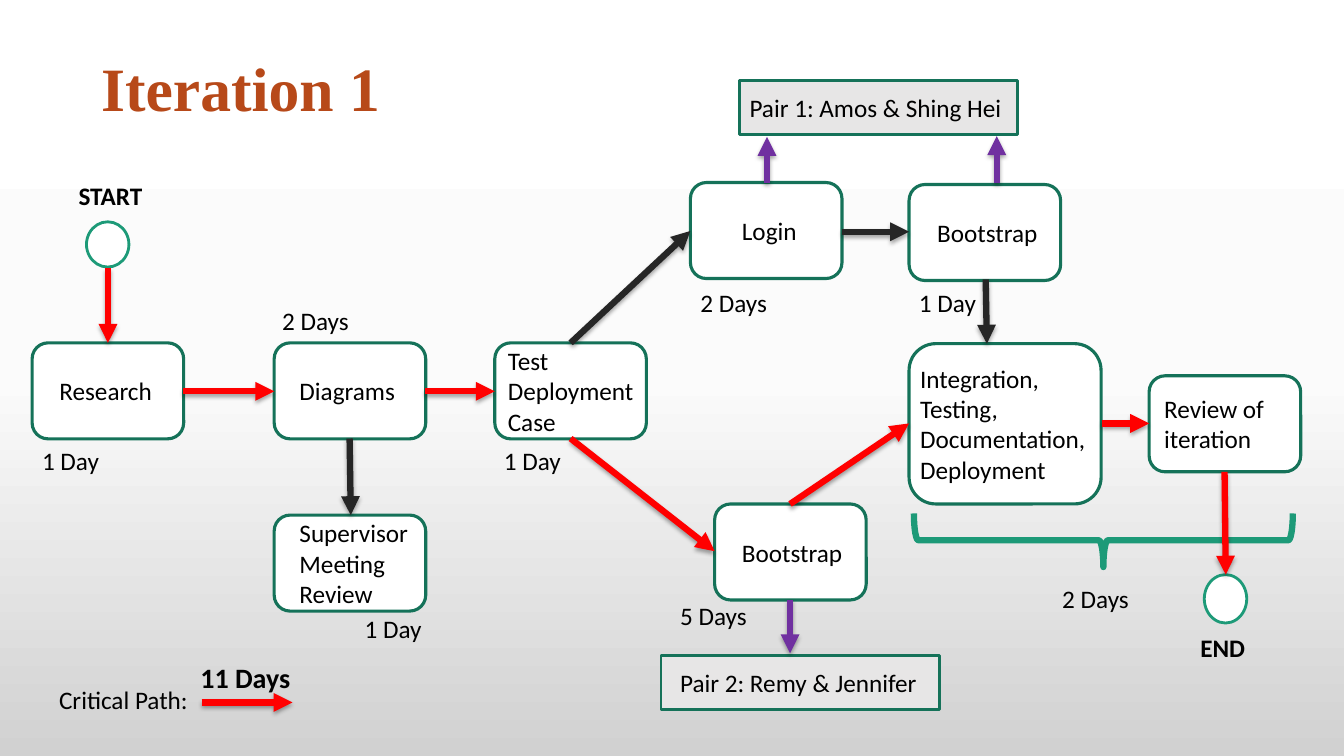
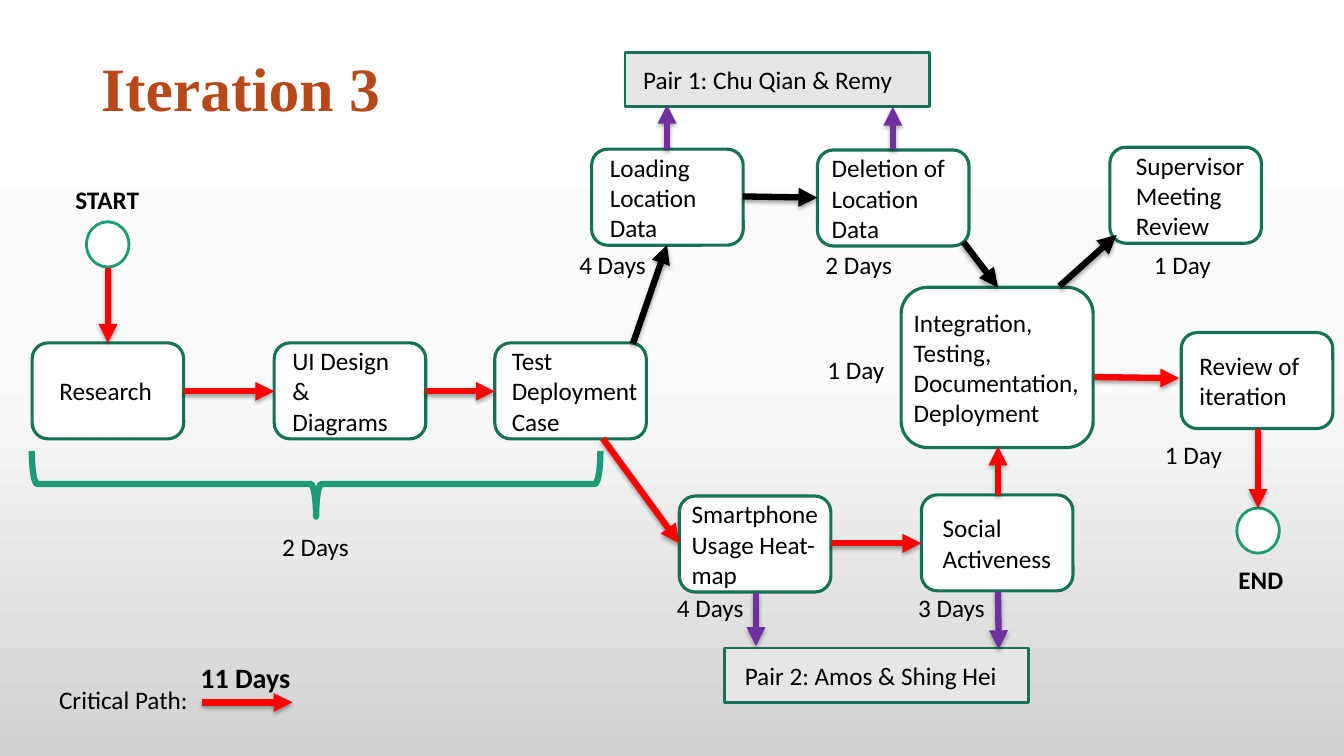
"""Build two iteration plans as flow diagrams with durations and a critical path."""
import dataclasses

import lxml.etree
import pptx
import pptx.dml.color
import pptx.enum.shapes
import pptx.enum.text
import pptx.oxml
import pptx.oxml.ns
import pptx.presentation
import pptx.shapes.autoshape
import pptx.slide
import pptx.text.text
import pptx.util

Cm = pptx.util.Cm
Pt = pptx.util.Pt
qn = pptx.oxml.ns.qn
Shapes = pptx.enum.shapes.MSO_SHAPE
Point = tuple[float, float]
Size = tuple[float, float]

COLOURS = {
    "title": "B74919", "text": "000000", "white": "FFFFFF", "middle": "FBFBFB", "bottom": "D1D1D1",
    "border": "157259", "accent": "1D9A78", "pair": "E7E6E6",
    "critical": "FF0000", "dark": "262626", "black": "000000", "purple": "7030A0",
}
TASK_SIZE = (3.82, 2.42)
INTEGRATION_SIZE = (4.84, 4.04)
DRAWING_NAMESPACE = pptx.oxml.ns.nsdecls("a")
INTEGRATION_TEXT = "Integration, Testing, Documentation, Deployment"


@dataclasses.dataclass(frozen=True)
class Task:
    text: str
    left: float
    top: float
    indent: float
    size: Size = TASK_SIZE
    right_indent: float = 0


@dataclasses.dataclass(frozen=True)
class Pair:
    text: str
    left: float
    top: float
    width: float
    indent: float


@dataclasses.dataclass(frozen=True)
class Label:
    text: str
    left: float
    top: float
    bold: bool = False
    size: int = 18
    width: float = 2.74


@dataclasses.dataclass(frozen=True)
class Arrow:
    start: Point
    end: Point
    colour: str = "critical"


@dataclasses.dataclass(frozen=True)
class Circle:
    left: float
    top: float
    height: float = 1.14


@dataclasses.dataclass(frozen=True)
class Brace:
    left: float
    top: float
    width: float
    height: float


@dataclasses.dataclass(frozen=True)
class Iteration:
    title: str
    tasks: list[Task]
    pairs: list[Pair]
    labels: list[Label]
    arrows: list[Arrow]
    end: Circle
    brace: Brace


SHARED_TASKS = [Task("Research", 0.81, 8.64, 0.57)]
SHARED_LABELS = [
    Label("Critical Path:", 1.24, 17.12, width=7.54),
    Label("11 Days", 4.8, 16.51, bold=True, size=20, width=2.92),
]
SHARED_ARROWS = [
    Arrow((2.72, 6.76), (2.72, 8.64)),
    Arrow((4.62, 9.86), (6.91, 9.86)),
    Arrow((10.72, 9.86), (12.47, 9.86)),
    Arrow((5.08, 17.7), (7.37, 17.7)),
]
START = Circle(2.18, 5.59)

ITERATIONS = [
    Iteration(
        title="Iteration 1",
        tasks=[
            Task("Diagrams", 6.91, 8.64, 0.52),
            Task("Supervisor Meeting Review", 6.91, 12.98, 0.52),
            Task("Test Deployment Case", 12.47, 8.64, 0.21),
            Task("Login", 17.4, 4.6, 1.18),
            Task("Bootstrap", 22.91, 4.65, 0.59),
            Task("Bootstrap", 18.01, 12.7, 0.57),
            Task(INTEGRATION_TEXT, 22.91, 8.66, 0.08, INTEGRATION_SIZE),
            Task("Review of iteration", 28.96, 9.47, 0.26),
        ],
        pairs=[
            Pair("Pair 1: Amos & Shing Hei", 18.64, 2.03, 7.01, 0.25),
            Pair("Pair 2: Remy & Jennifer", 16.66, 16.51, 7.01, 0.48),
        ],
        labels=[
            Label("START", 1.73, 4.42, bold=True),
            Label("1 Day", 0.81, 11.1),
            Label("2 Days", 6.86, 7.57),
            Label("1 Day", 12.45, 11.1),
            Label("1 Day", 8.94, 15.32),
            Label("2 Days", 17.4, 7.11),
            Label("1 Day", 22.91, 7.11),
            Label("5 Days", 16.89, 15.01),
            Label("2 Days", 26.52, 14.58),
            Label("END", 30, 15.82, bold=True),
        ],
        arrows=[
            Arrow((14.38, 11.05), (18.01, 13.89)),
            Arrow((19.91, 12.7), (22.91, 10.67)),
            Arrow((27.76, 10.67), (28.96, 10.67)),
            Arrow((30.86, 11.89), (30.89, 14.48)),
            Arrow((8.81, 11.05), (8.84, 12.98), "dark"),
            Arrow((14.38, 8.64), (17.4, 5.82), "dark"),
            Arrow((21.23, 5.84), (22.91, 5.84), "dark"),
            Arrow((24.84, 7.04), (24.87, 8.66), "dark"),
            Arrow((19.33, 4.6), (19.33, 3.45), "purple"),
            Arrow((25.12, 4.6), (25.12, 3.43), "purple"),
            Arrow((19.91, 15.11), (19.91, 16.46), "purple"),
        ],
        end=Circle(30.35, 14.48, 1.22),
        brace=Brace(27.13, 8.84, 1.35, 9.55),
    ),
    Iteration(
        title="Iteration 3",
        tasks=[
            Task("UI Design & Diagrams", 6.91, 8.64, 0.34, right_indent=0.4),
            Task("Test Deployment Case", 12.47, 8.64, 0.31),
            Task("Loading Location Data", 14.91, 3.76, 0.34),
            Task("Deletion of Location Data", 20.6, 3.78, 0.24),
            Task("Smartphone Usage Heat-map", 17.12, 12.5, 0.19),
            Task("Social Activeness", 23.22, 12.47, 0.42),
            Task(INTEGRATION_TEXT, 22.71, 7.24, 0.12, INTEGRATION_SIZE),
            Task("Supervisor Meeting Review", 27.97, 3.71, 0.54),
            Task("Review of iteration", 29.77, 8.38, 0.34),
        ],
        pairs=[
            Pair("Pair 1: Chu Qian & Remy", 15.75, 1.32, 7.67, 0.46),
            Pair("Pair 2: Amos & Shing Hei", 18.26, 16.33, 7.67, 0.51),
        ],
        labels=[
            Label("START", 1.65, 4.52, bold=True),
            Label("2 Days", 6.86, 13.26),
            Label("4 Days", 14.35, 6.17),
            Label("2 Days", 20.55, 6.17),
            Label("1 Day", 28.83, 6.17),
            Label("4 Days", 16.81, 14.81),
            Label("3 Days", 22.89, 14.81),
            Label("1 Day", 20.6, 8.81),
            Label("1 Day", 29.11, 10.95),
            Label("END", 30.96, 14.1, bold=True),
        ],
        arrows=[
            Arrow((15.19, 11.05), (17.12, 13.69)),
            Arrow((20.93, 13.69), (23.22, 13.69)),
            Arrow((25.15, 12.47), (25.15, 11.25)),
            Arrow((27.58, 9.5), (29.72, 9.53)),
            Arrow((31.7, 10.8), (31.7, 12.8)),
            Arrow((15.95, 8.66), (16.81, 6.17), "black"),
            Arrow((18.72, 4.95), (20.6, 4.98), "black"),
            Arrow((24.28, 6.1), (25.15, 7.24), "black"),
            Arrow((26.7, 7.21), (28.14, 5.92), "black"),
            Arrow((16.81, 3.76), (16.81, 2.64), "purple"),
            Arrow((22.5, 3.76), (22.5, 2.69), "purple"),
            Arrow((19.05, 14.94), (19.05, 16.28), "purple"),
            Arrow((25.15, 14.91), (25.17, 16.36), "purple"),
        ],
        end=Circle(31.17, 12.8),
        brace=Brace(7.14, 5.03, 1.65, 14.33),
    ),
]


def colour(name: str) -> pptx.dml.color.RGBColor:
    return pptx.dml.color.RGBColor.from_string(COLOURS[name])


def set_background(presentation: pptx.presentation.Presentation) -> None:
    master = presentation.slide_master
    fill = master.background.fill
    fill.gradient()
    fill.gradient_angle = 270
    stops = master.element.find(".//" + qn("a:gsLst"))
    for stop in list(stops):
        stops.remove(stop)
    for position, name in ((0, "white"), (50, "middle"), (100, "bottom")):
        stop = lxml.etree.SubElement(stops, qn("a:gs"), pos=str(position * 1000))
        lxml.etree.SubElement(stop, qn("a:srgbClr"), val=COLOURS[name])


def add_run(frame: pptx.text.text.TextFrame, text: str, size: int = 18, bold: bool = False,
            font: str = "Calibri", ink: str = "text") -> pptx.text.text._Run:
    frame.word_wrap = True
    paragraph = frame.paragraphs[0]
    paragraph.alignment = pptx.enum.text.PP_ALIGN.LEFT
    run = paragraph.add_run()
    run.text = text
    run.font.name = font
    run.font.size = Pt(size)
    run.font.bold = bold
    run.font.color.rgb = colour(ink)
    return run


def add_title(slide: pptx.slide.Slide, text: str) -> None:
    frame = slide.shapes.add_textbox(Cm(2.3), Cm(0.47), Cm(29.21), Cm(3.68)).text_frame
    frame.vertical_anchor = pptx.enum.text.MSO_ANCHOR.MIDDLE
    run = add_run(frame, text, 44, True, "Times New Roman", "title")
    frame.paragraphs[0].line_spacing = 0.9
    outline = pptx.oxml.parse_xml(
        f'<a:ln {DRAWING_NAMESPACE} w="9525"><a:solidFill><a:srgbClr val="{COLOURS["white"]}"/>'
        "</a:solidFill></a:ln>")
    run.font._element.insert(0, outline)


def add_outline(slide: pptx.slide.Slide, kind: Shapes, left: float, top: float, size: Size,
                line: str, line_width: float, fill: str | None) -> pptx.shapes.autoshape.Shape:
    shape = slide.shapes.add_shape(kind, Cm(left), Cm(top), Cm(size[0]), Cm(size[1]))
    shape.shadow.inherit = False
    shape.line.color.rgb = colour(line)
    shape.line.width = Pt(line_width)
    if fill is None:
        shape.fill.background()
    else:
        shape.fill.solid()
        shape.fill.fore_color.rgb = colour(fill)
    return shape


def fill_text(shape: pptx.shapes.autoshape.Shape, text: str, indent: float, right_indent: float = 0) -> None:
    frame = shape.text_frame
    frame.margin_left, frame.margin_right = Cm(indent), Cm(right_indent)
    frame.margin_top = frame.margin_bottom = Cm(0)
    frame.vertical_anchor = pptx.enum.text.MSO_ANCHOR.MIDDLE
    add_run(frame, text)


def add_label(slide: pptx.slide.Slide, label: Label) -> None:
    box = slide.shapes.add_textbox(Cm(label.left), Cm(label.top), Cm(label.width), Cm(1.02))
    add_run(box.text_frame, label.text, label.size, label.bold)


def add_arrow(slide: pptx.slide.Slide, arrow: Arrow) -> None:
    ends = [Cm(value) for value in arrow.start + arrow.end]
    connector = slide.shapes.add_connector(pptx.enum.shapes.MSO_CONNECTOR.STRAIGHT, *ends)
    connector.line.color.rgb = colour(arrow.colour)
    connector.line.width = Pt(4.5)
    properties = connector.element.spPr
    lxml.etree.SubElement(properties.find(qn("a:ln")), qn("a:tailEnd"), type="triangle")
    properties.append(pptx.oxml.parse_xml(
        f'<a:effectLst {DRAWING_NAMESPACE}><a:outerShdw blurRad="{Pt(3.1)}" dist="{Pt(1.8)}" dir="5400000" '
        'rotWithShape="0"><a:srgbClr val="000000"><a:alpha val="35000"/></a:srgbClr></a:outerShdw></a:effectLst>'))


def draw_iteration(slide: pptx.slide.Slide, iteration: Iteration) -> None:
    add_title(slide, iteration.title)
    for pair in iteration.pairs:
        shape = add_outline(slide, Shapes.RECTANGLE, pair.left, pair.top, (pair.width, 1.37), "border", 2, "pair")
        fill_text(shape, pair.text, pair.indent)
    for task in SHARED_TASKS + iteration.tasks:
        shape = add_outline(slide, Shapes.ROUNDED_RECTANGLE, task.left, task.top, task.size, "border", 2.25, "white")
        fill_text(shape, task.text, task.indent, task.right_indent)
    for circle in (START, iteration.end):
        add_outline(slide, Shapes.OVAL, circle.left, circle.top, (1.07, circle.height), "accent", 2, "white")
    brace = iteration.brace
    shape = add_outline(slide, Shapes.RIGHT_BRACE, brace.left, brace.top, (brace.width, brace.height),
                        "accent", 4.5, None)
    shape.rotation = 90
    for label in SHARED_LABELS + iteration.labels:
        add_label(slide, label)
    for arrow in SHARED_ARROWS + iteration.arrows:
        add_arrow(slide, arrow)


def main() -> None:
    presentation = pptx.Presentation()
    presentation.slide_width, presentation.slide_height = Cm(33.87), Cm(19.05)
    set_background(presentation)
    for iteration in ITERATIONS:
        draw_iteration(presentation.slides.add_slide(presentation.slide_layouts[6]), iteration)
    presentation.save("out.pptx")


main()
